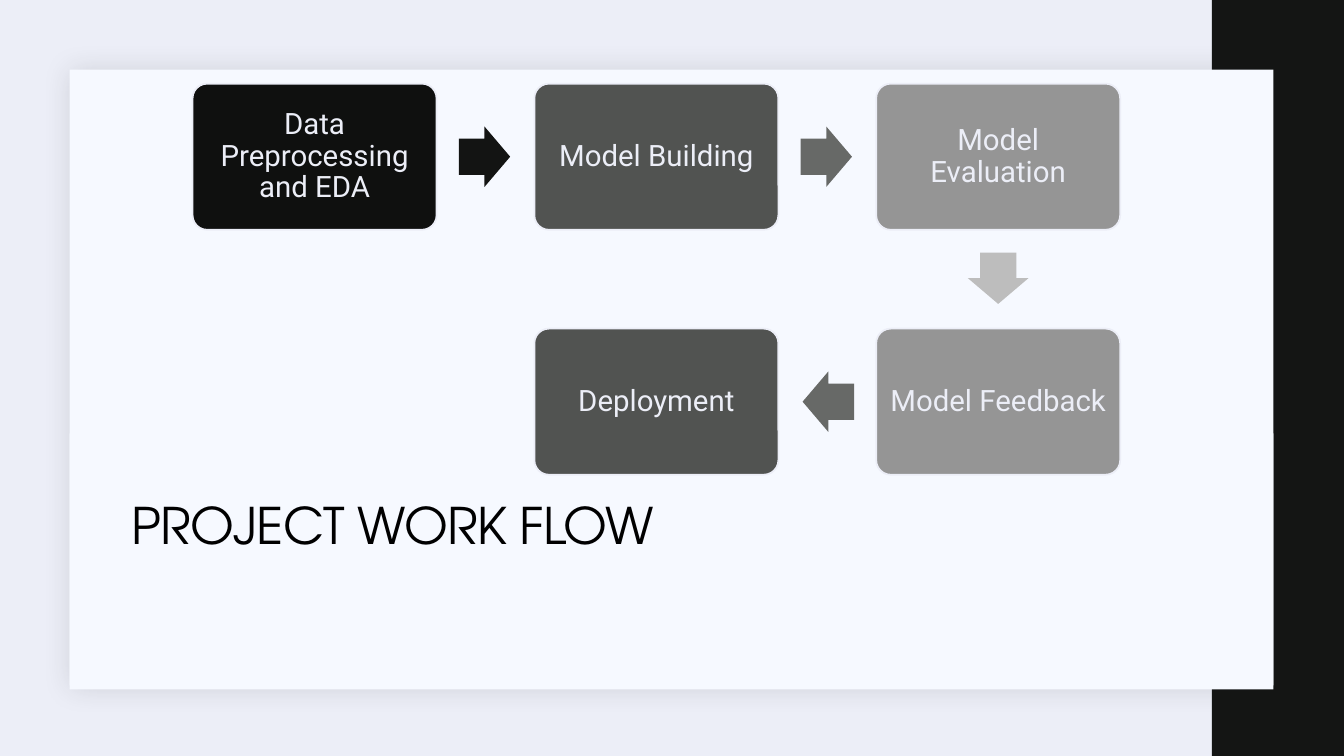
from dataclasses import dataclass
from math import atan2, degrees

from lxml import etree
from pptx import Presentation, util as u
from pptx.dml.color import RGBColor
from pptx.enum import shapes, text
from pptx.oxml import ns

KIND = shapes.MSO_SHAPE


@dataclass(frozen=True)
class Theme:
    back: str = "ECEEF7"
    panel: str = "F6F9FF"
    band: str = "141514"
    shade: str = "1F2125"
    ink: str = "000000"
    black: str = "0F100F"
    dark: str = "515351"
    mid: str = "959595"
    head: str = "TeX Gyre Adventor"
    body: str = "Roboto"
    big: int = 36
    small: int = 21


def write(frame, words, *, font, size, color, align, anchor, inset, track=None):
    """Fill a text frame with one formatted paragraph."""
    frame.word_wrap = True
    frame.auto_size = text.MSO_AUTO_SIZE.NONE
    frame.vertical_anchor = anchor
    frame.margin_left = frame.margin_right = u.Inches(inset[0])
    frame.margin_top = frame.margin_bottom = u.Inches(inset[1])
    para = frame.paragraphs[0]
    para.alignment, para.line_spacing = align, 0.9
    run = para.add_run()
    run.text = words
    run.font.name, run.font.size = font, u.Pt(size)
    run.font.bold = False
    run.font.color.rgb = RGBColor.from_string(color)
    if track is not None:
        run.font._element.set("spc", str(round(track * 100)))


class Deck:
    # Grid of steps, in inches: first cell, pitch and cell size
    left, top = 1.91, 0.83
    across, down = 3.39, 2.43
    wide, high = 2.42, 1.45

    def __init__(self, theme):
        self.theme = theme
        self.show = Presentation()
        self.show.slide_width = u.Inches(13.33)
        self.show.slide_height = u.Inches(7.5)
        self.slide = self.show.slides.add_slide(self.show.slide_layouts[5])
        fill = self.slide.background.fill
        fill.solid()
        fill.fore_color.rgb = RGBColor.from_string(theme.back)

    def shape(self, kind, x, y, w, h, color, line=None):
        item = self.slide.shapes.add_shape(kind, *map(u.Inches, (x, y, w, h)))
        item.shadow.inherit = False
        item.fill.solid()
        item.fill.fore_color.rgb = RGBColor.from_string(color)
        if line:
            item.line.color.rgb = RGBColor.from_string(line)
            item.line.width = u.Pt(1.25)
        else:
            item.line.fill.background()
        return item

    def shade(self, item):
        """Give a shape a soft outer shadow."""
        effects = item._element.spPr.find(ns.qn("a:effectLst"))
        outer = etree.SubElement(effects, ns.qn("a:outerShdw"), blurRad=str(u.Pt(20)),
                                 dist=str(u.Pt(2)), dir=str(45 * 60000),
                                 algn="ctr", rotWithShape="0")
        tint = etree.SubElement(outer, ns.qn("a:srgbClr"), val=self.theme.shade)
        etree.SubElement(tint, ns.qn("a:alpha"), val="15000")

    def title(self, words, x, y, w, h):
        item = self.slide.shapes.title
        item.left, item.top, item.width, item.height = map(u.Inches, (x, y, w, h))
        write(item.text_frame, words, font=self.theme.head, size=self.theme.big,
              color=self.theme.ink, align=text.PP_ALIGN.LEFT,
              anchor=text.MSO_ANCHOR.BOTTOM, inset=(0.1, 0), track=-0.5)
        # Bring the title in front of the panels
        self.slide.shapes._spTree.append(item._element)

    def step(self, words, col, row, color):
        box = self.shape(KIND.ROUNDED_RECTANGLE, self.left + col * self.across,
                         self.top + row * self.down, self.wide, self.high,
                         color, self.theme.back)
        box.adjustments[0] = 0.1
        write(box.text_frame, words, font=self.theme.body, size=self.theme.small,
              color=self.theme.back, align=text.PP_ALIGN.CENTER,
              anchor=text.MSO_ANCHOR.MIDDLE, inset=(0.09, 0.09))

    def arrow(self, start, end, color):
        """Point from one grid cell to the next, midway between them."""
        (c1, r1), (c2, r2) = start, end
        w, h, lag = 0.51, 0.6, 0.01
        x = self.left + (c1 + c2) / 2 * self.across + (self.wide - w) / 2
        y = self.top + (r1 + r2) / 2 * self.down + (self.high - h) / 2
        item = self.shape(KIND.RIGHT_ARROW, x - lag * (c2 - c1),
                          y - lag * (r2 - r1), w, h, color)
        item.adjustments[0], item.adjustments[1] = 0.6, 0.5
        item.rotation = degrees(atan2(r2 - r1, c2 - c1))


def main():
    theme = Theme()
    deck = Deck(theme)

    # Backdrop
    deck.shape(KIND.RECTANGLE, 12.02, 0, 1.31, 7.5, theme.band)
    deck.shade(deck.shape(KIND.RECTANGLE, 0.69, 0.69, 11.94, 6.11, theme.panel))
    deck.shape(KIND.RECTANGLE, 0.69, 4.3, 11.94, 2.54, theme.panel)

    # Title
    deck.title("PROJECT WORK FLOW", 1.2, 4.7, 11.06, 0.81)

    # Work flow: words, cell, fill
    steps = [
        ("Data Preprocessing and EDA", (0, 0), theme.black),
        ("Model Building", (1, 0), theme.dark),
        ("Model Evaluation", (2, 0), theme.mid),
        ("Model Feedback", (2, 1), theme.mid),
        ("Deployment", (1, 1), theme.dark),
    ]
    for words, cell, color in steps:
        deck.step(words, *cell, color)

    # Arrows between neighbours
    tints = ["131413", "676967", "BDBDBD", "676967"]
    for (_, start, _), (_, end, _), tint in zip(steps, steps[1:], tints):
        deck.arrow(start, end, tint)

    deck.show.save("out.pptx")


if __name__ == "__main__":
    main()
